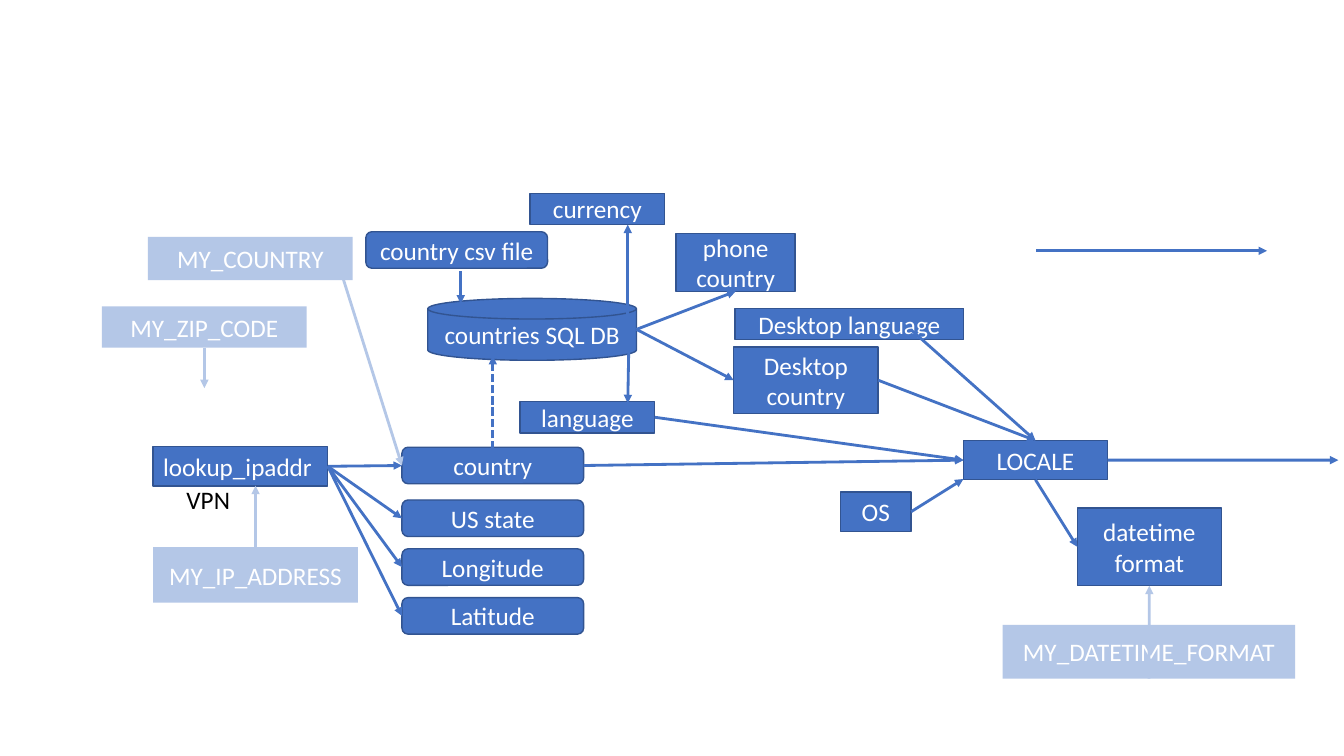
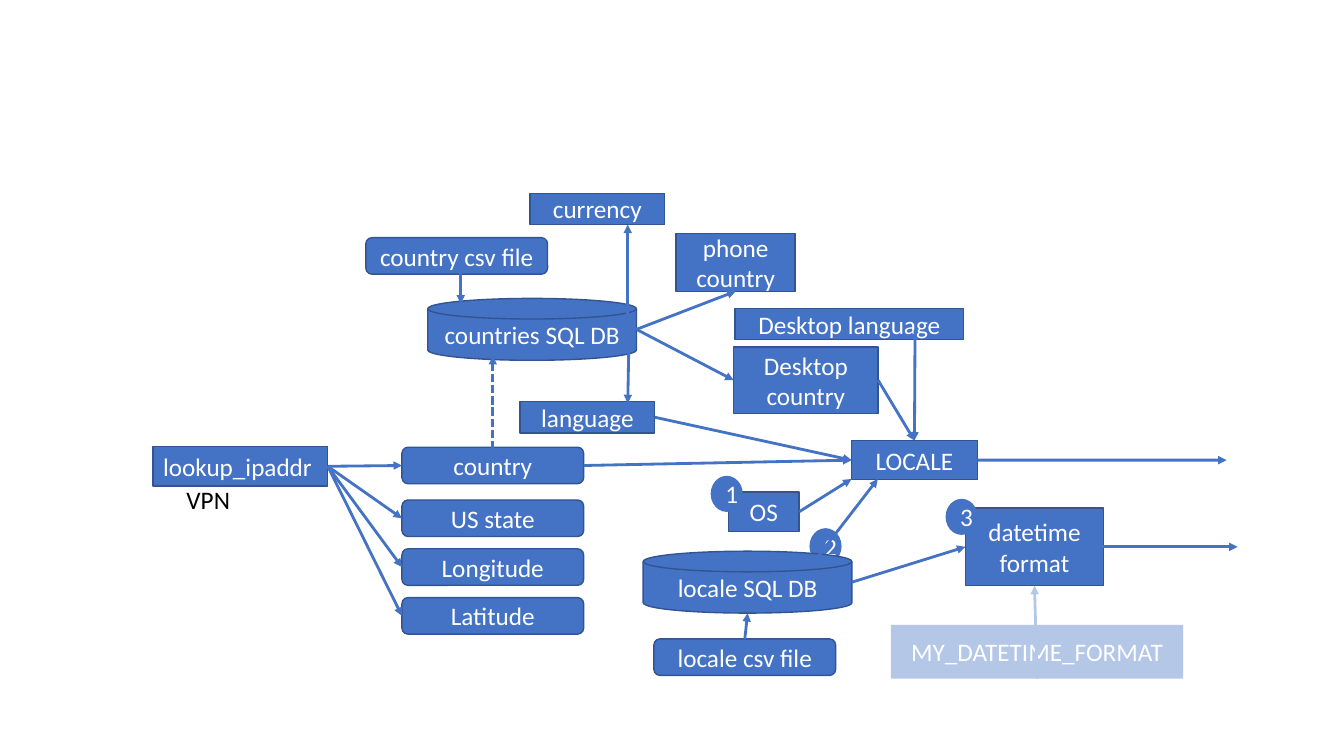
from dataclasses import dataclass
from typing import Optional, Union

from lxml import etree
from pptx import Presentation
from pptx.dml.color import RGBColor
from pptx.enum.dml import MSO_LINE
from pptx.enum.shapes import MSO_CONNECTOR, MSO_SHAPE
from pptx.enum.text import MSO_ANCHOR, PP_ALIGN
from pptx.oxml.ns import qn
from pptx.util import Cm, Pt

RECT = MSO_SHAPE.RECTANGLE
ROUND = MSO_SHAPE.ROUNDED_RECTANGLE
DISK = MSO_SHAPE.FLOWCHART_MAGNETIC_DISK
OVAL = MSO_SHAPE.OVAL
STRAIGHT = MSO_CONNECTOR.STRAIGHT
DASHED = MSO_LINE.SQUARE_DOT
LEFT, CENTER = PP_ALIGN.LEFT, PP_ALIGN.CENTER
MIDDLE = MSO_ANCHOR.MIDDLE
TOP_SIDE, LEFT_SIDE, BOTTOM_SIDE, RIGHT_SIDE = range(4)

FONT, FONT_SIZE = "Calibri", Pt(18)
BLUE, NAVY, PALE, WHITE, BLACK = "4472C4", "325491", "B4C7E7", "FFFFFF", "000000"

ROUND_W, ROUND_H = 4.58, 0.92
DISK_W, DISK_H = 5.26, 1.56
SETTING_W = 5.16
LOCALE_Y, LOCALE_H = 11.1, 0.99
LOCALE_CORNER_Y = 12.07


@dataclass(frozen=True)
class Box:
    """A labelled shape, measured in centimetres."""
    text: str
    x: float
    y: float
    w: float
    h: float
    kind: int = RECT
    fill: str = BLUE
    border: Optional[str] = NAVY
    align: int = CENTER


@dataclass(frozen=True)
class Side:
    """The middle of one side of the box with this text."""
    text: str
    site: int


@dataclass(frozen=True)
class Point:
    """A free arrow end, in centimetres."""
    x: float
    y: float


End = Union[Side, Point]


@dataclass(frozen=True)
class Arrow:
    """A straight arrow between two ends."""
    start: End
    end: End
    color: str = BLUE
    dashed: bool = False


def rounded(text: str, x: float, y: float) -> Box:
    """Return a rounded box of the shared size."""
    return Box(text, x, y, ROUND_W, ROUND_H, ROUND)


def database(text: str, x: float, y: float) -> Box:
    """Return a database cylinder of the shared size."""
    return Box(text, x, y, DISK_W, DISK_H, DISK)


def setting(text: str, x: float, y: float, h: float, w: float = SETTING_W) -> Box:
    """Return a pale, borderless box for a user setting."""
    return Box(text, x, y, w, h, fill=PALE, border=None)


def badge(text: str, x: float, y: float) -> Box:
    """Return a numbered circle."""
    return Box(text, x, y, 0.81, 0.91, OVAL, border=None)


def shared_boxes(csv_y: float) -> list[Box]:
    """Return the lookup and country boxes found on both slides."""
    details = ["US state", "Longitude", "Latitude"]
    return [
        Box("lookup_ipaddr", 3.86, 11.25, 4.4, 1, align=LEFT),
        Box("language", 13.11, 10.12, 3.39, 0.79),
        Box("currency", 13.36, 4.87, 3.39, 0.79),
        database("countries SQL DB", 10.78, 7.52),
        Box("Desktop country", 18.49, 8.74, 3.64, 1.68),
        Box("phone country", 17.04, 5.89, 3, 1.45),
        Box("Desktop language", 18.52, 7.77, 5.77, 0.79),
        rounded("country csv file", 9.22, csv_y),
        rounded("country", 10.13, 11.27),
        *(rounded(t, 10.13, 12.6 + 1.23 * i) for i, t in enumerate(details)),
    ]


def locale_boxes(shift: float, locale_w: float, datetime_w: float) -> list[Box]:
    """Return the locale group, moved left by shift."""
    return [
        Box("LOCALE", 24.28 - shift, LOCALE_Y, locale_w, LOCALE_H),
        Box("OS", 21.18 - shift, 12.4, 1.78, 0.99),
        Box("datetime\vformat", 27.15 - shift, 12.8, datetime_w, 1.96),
        setting("MY_DATETIME_FORMAT", 25.27 - shift, 15.75, 1.35, 7.37),
    ]


def shared_arrows(shift: float, language_x: float, output_x: float) -> list[Arrow]:
    """Return the arrows found on both slides."""
    lookup = Side("lookup_ipaddr", RIGHT_SIDE)
    locale_left, locale_top = Side("LOCALE", LEFT_SIDE), Side("LOCALE", TOP_SIDE)
    db_right = Point(16.04, 8.3)
    return [
        *(Arrow(lookup, Side(t, LEFT_SIDE))
          for t in ("country", "US state", "Longitude", "Latitude")),
        Arrow(Side("country", RIGHT_SIDE), locale_left),
        Arrow(Side("language", RIGHT_SIDE), locale_left),
        Arrow(Point(12.42, 11.33), Point(12.42, 8.97), dashed=True),
        Arrow(db_right, Side("Desktop country", LEFT_SIDE)),
        Arrow(db_right, Side("phone country", BOTTOM_SIDE)),
        Arrow(Point(15.85, 8.53), Point(15.82, 10.16)),
        Arrow(Point(15.82, 8.1), Point(15.82, 5.66)),
        Arrow(Point(11.61, 6.83), Point(11.61, 7.65)),
        Arrow(Point(language_x, 8.31), locale_top),
        Arrow(Side("Desktop country", RIGHT_SIDE), locale_top),
        Arrow(Side("OS", RIGHT_SIDE), Point(24.28 - shift, LOCALE_CORNER_Y)),
        Arrow(Side("LOCALE", RIGHT_SIDE), Point(output_x, LOCALE_Y + LOCALE_H / 2)),
        Arrow(Side("MY_DATETIME_FORMAT", BOTTOM_SIDE),
              Side("datetime\vformat", BOTTOM_SIDE), PALE),
    ]


def rgb(color: str) -> RGBColor:
    """Turn a hex string into a colour."""
    return RGBColor.from_string(color)


def write(tf, text: str, color: str, align: int) -> None:
    """Write one paragraph in the shared font."""
    p = tf.paragraphs[0]
    p.text = text
    p.alignment = align
    p.font.name, p.font.size = FONT, FONT_SIZE
    p.font.color.rgb = rgb(color)


def draw_box(s, box: Box):
    """Draw a box and return its shape."""
    sp = s.shapes.add_shape(box.kind, Cm(box.x), Cm(box.y), Cm(box.w), Cm(box.h))
    sp.shadow.inherit = False
    sp.fill.solid()
    sp.fill.fore_color.rgb = rgb(box.fill)
    if box.border:
        sp.line.color.rgb = rgb(box.border)
        sp.line.width = Pt(1)
    else:
        sp.line.fill.background()
    sp.text_frame.vertical_anchor = MIDDLE
    write(sp.text_frame, box.text, WHITE, box.align)
    return sp


def draw_arrow(s, arrow: Arrow, shapes: dict) -> None:
    """Draw an arrow, joined to the boxes that it names."""
    c = s.shapes.add_connector(STRAIGHT, 0, 0, 0, 0)
    if isinstance(arrow.start, Side):
        c.begin_connect(shapes[arrow.start.text], arrow.start.site)
    else:
        c.begin_x, c.begin_y = Cm(arrow.start.x), Cm(arrow.start.y)
    if isinstance(arrow.end, Side):
        c.end_connect(shapes[arrow.end.text], arrow.end.site)
    else:
        c.end_x, c.end_y = Cm(arrow.end.x), Cm(arrow.end.y)
    c.line.color.rgb = rgb(arrow.color)
    c.line.width = Pt(2)
    if arrow.dashed:
        c.line.dash_style = DASHED
    sp_pr = c.element.spPr
    etree.SubElement(sp_pr.find(qn("a:ln")), qn("a:tailEnd"), type="triangle")
    etree.SubElement(sp_pr, qn("a:effectLst"))


def draw_slide(prs, boxes: list[Box], arrows: list[Arrow]) -> None:
    """Add a slide with its boxes, the VPN label and the arrows."""
    s = prs.slides.add_slide(prs.slide_layouts[6])
    shapes = {box.text: draw_box(s, box) for box in boxes}
    label = s.shapes.add_textbox(Cm(4.45), Cm(12.07), Cm(1.63), Cm(1.02))
    write(label.text_frame, "VPN", BLACK, LEFT)
    for arrow in arrows:
        draw_arrow(s, arrow, shapes)


def settings_slide(prs) -> None:
    """Add the slide on which user settings override the lookup."""
    boxes = shared_boxes(5.84) + locale_boxes(0, 3.63, 3.63) + [
        setting("MY_IP_ADDRESS", 3.86, 13.79, 1.4),
        setting("MY_COUNTRY", 3.73, 5.97, 1.09),
        setting("MY_ZIP_CODE", 2.57, 7.72, 1.04),
    ]
    arrows = shared_arrows(0, 22.96, 33.73) + [
        Arrow(Side("LOCALE", BOTTOM_SIDE), Side("datetime\vformat", LEFT_SIDE)),
        Arrow(Point(26.11, 6.32), Point(31.93, 6.32)),
        Arrow(Side("MY_IP_ADDRESS", TOP_SIDE), Point(6.44, 12.24), PALE),
        Arrow(Point(8.38, 6.17), Side("country", LEFT_SIDE), PALE),
        Arrow(Side("MY_ZIP_CODE", BOTTOM_SIDE), Point(5.15, 9.78), PALE),
    ]
    draw_slide(prs, boxes, arrows)


def locale_db_slide(prs) -> None:
    """Add the slide on which a locale database supplies the format."""
    shift = 2.82
    boxes = shared_boxes(5.99) + locale_boxes(shift, 3.17, 3.48) + [
        badge("1", 17.91, 11.99),
        badge("2", 20.4, 13.31),
        database("locale SQL DB", 16.21, 13.89),
        rounded("locale csv file", 16.48, 16.1),
        badge("3", 23.83, 12.57),
    ]
    arrows = shared_arrows(shift, 23.06, 30.91) + [
        Arrow(Point(21.47, 14.67), Side("datetime\vformat", LEFT_SIDE)),
        Arrow(Point(25.37, 13.78), Point(31.19, 13.78)),
        Arrow(Point(20.4, 14.3), Point(22.12, LOCALE_CORNER_Y)),
        Arrow(Side("locale csv file", TOP_SIDE), Point(18.84, 15.45)),
    ]
    draw_slide(prs, boxes, arrows)


def main() -> None:
    """Build and save the presentation."""
    prs = Presentation()
    prs.slide_width, prs.slide_height = Cm(33.87), Cm(19.05)
    settings_slide(prs)
    locale_db_slide(prs)
    prs.save("out.pptx")


if __name__ == "__main__":
    main()
